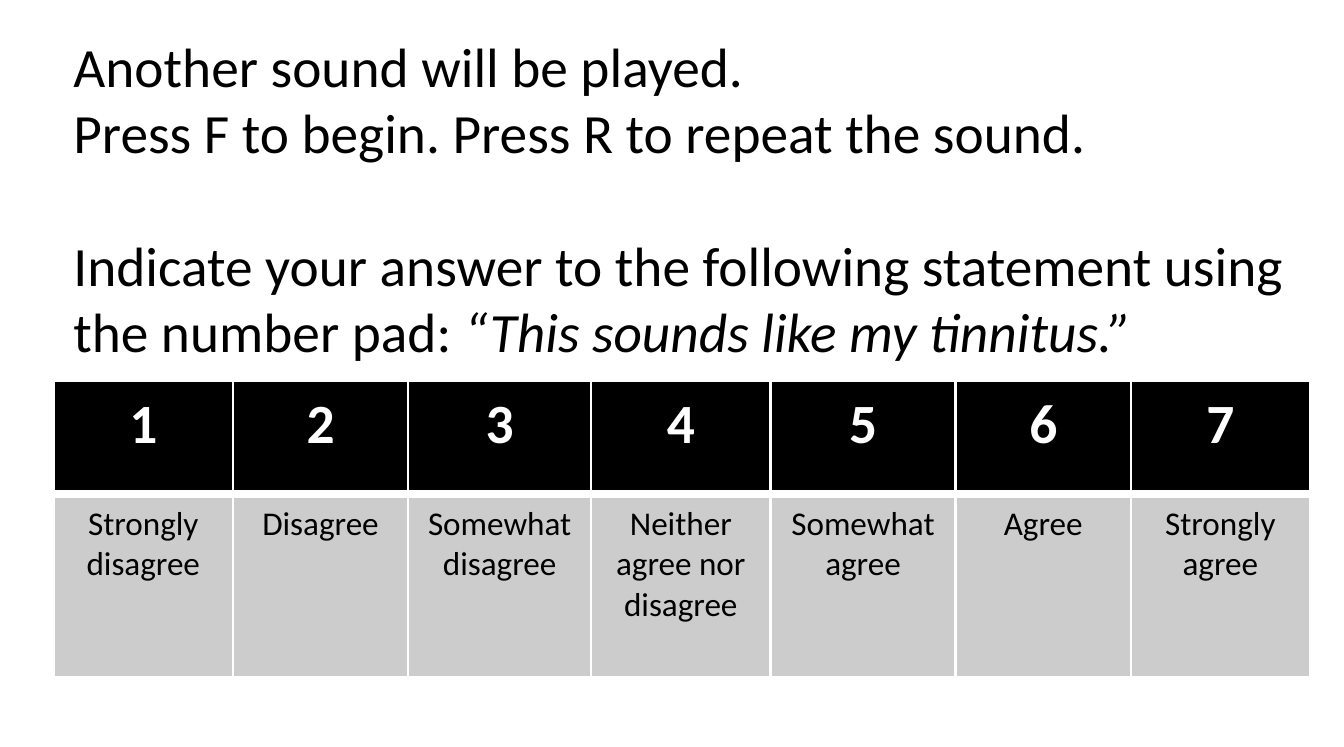
from lxml import etree
from pptx import Presentation
from pptx import util as u
from pptx.dml.color import RGBColor
from pptx.enum import text
from pptx.oxml.ns import qn

# Content: (space before in points, [(run, italic), ...])
INSTRUCTIONS = [
    (0, [("Another sound will be played.", False)]),
    (0, [("Press F to begin. Press R to repeat the sound.", False)]),
    (24, [("Indicate your answer to the following statement using the number pad: ", False),
          ("“This sounds like my tinnitus.”", True)]),
]
ANSWERS = ["Strongly disagree", "Disagree", "Somewhat disagree",
           "Neither agree nor disagree", "Somewhat agree", "Agree", "Strongly agree"]
NUMBERS = [str(n) for n in range(1, len(ANSWERS) + 1)]

BLACK = RGBColor(0x00, 0x00, 0x00)
WHITE = RGBColor(0xFF, 0xFF, 0xFF)
GREY = RGBColor(0xCC, 0xCC, 0xCC)
FONT = "Calibri"

# Lengths in px, 100 to the inch
PX = 9144
SLIDE = (675, 375)
TEXT_BOX = (27, 11, 632, 178)
TABLE_AT = (27, 191)
COL_WIDTHS = [90, 88, 92, 90, 93, 88, 90]
CELL_MARGIN = 8

# Rows: texts, height, fill, font colour, size, bold, border widths in points
THIN, THICK = 1, 3
ROWS = [
    (NUMBERS, 57, BLACK, WHITE, 20, True, {"L": THIN, "R": THIN, "T": THIN, "B": THICK}),
    (ANSWERS, 92, GREY, BLACK, 12, False, {"L": THIN, "R": THIN, "T": THICK, "B": THIN}),
]


def px(*lengths):
    return [u.Emu(n * PX) for n in lengths]


def add_run(p, words, size, color, bold=False, italic=False):
    r = p.add_run()
    r.text = words
    f = r.font
    f.name, f.size, f.bold, f.italic = FONT, u.Pt(size), bold, italic
    f.color.rgb = color


def set_borders(cell, widths, color):
    tc_pr = cell._tc.get_or_add_tcPr()
    for i, (side, width) in enumerate(widths.items()):
        ln = etree.Element(qn(f"a:ln{side}"), w=str(u.Pt(width)))
        fill = etree.SubElement(ln, qn("a:solidFill"))
        etree.SubElement(fill, qn("a:srgbClr"), val=str(color))
        tc_pr.insert(i, ln)


prs = Presentation()
prs.slide_width, prs.slide_height = px(*SLIDE)
s = prs.slides.add_slide(prs.slide_layouts[6])

# Instructions
tf = s.shapes.add_textbox(*px(*TEXT_BOX)).text_frame
tf.word_wrap = True
for i, (space, runs) in enumerate(INSTRUCTIONS):
    p = tf.paragraphs[0] if i == 0 else tf.add_paragraph()
    p.space_before = u.Pt(space)
    for words, italic in runs:
        add_run(p, words, 20, BLACK, italic=italic)

# Answer scale
table_size = (sum(COL_WIDTHS), sum(row[1] for row in ROWS))
table = s.shapes.add_table(len(ROWS), len(ANSWERS), *px(*TABLE_AT, *table_size)).table
for col, width in zip(table.columns, px(*COL_WIDTHS)):
    col.width = width
for y, (texts, height, fill, color, size, bold, borders) in enumerate(ROWS):
    table.rows[y].height = px(height)[0]
    for x, words in enumerate(texts):
        cell = table.cell(y, x)
        cell.margin_left, cell.margin_right = px(CELL_MARGIN, CELL_MARGIN)
        cell.fill.solid()
        cell.fill.fore_color.rgb = fill
        set_borders(cell, borders, WHITE)
        p = cell.text_frame.paragraphs[0]
        p.alignment = text.PP_ALIGN.CENTER
        add_run(p, words, size, color, bold)

prs.save("out.pptx")
